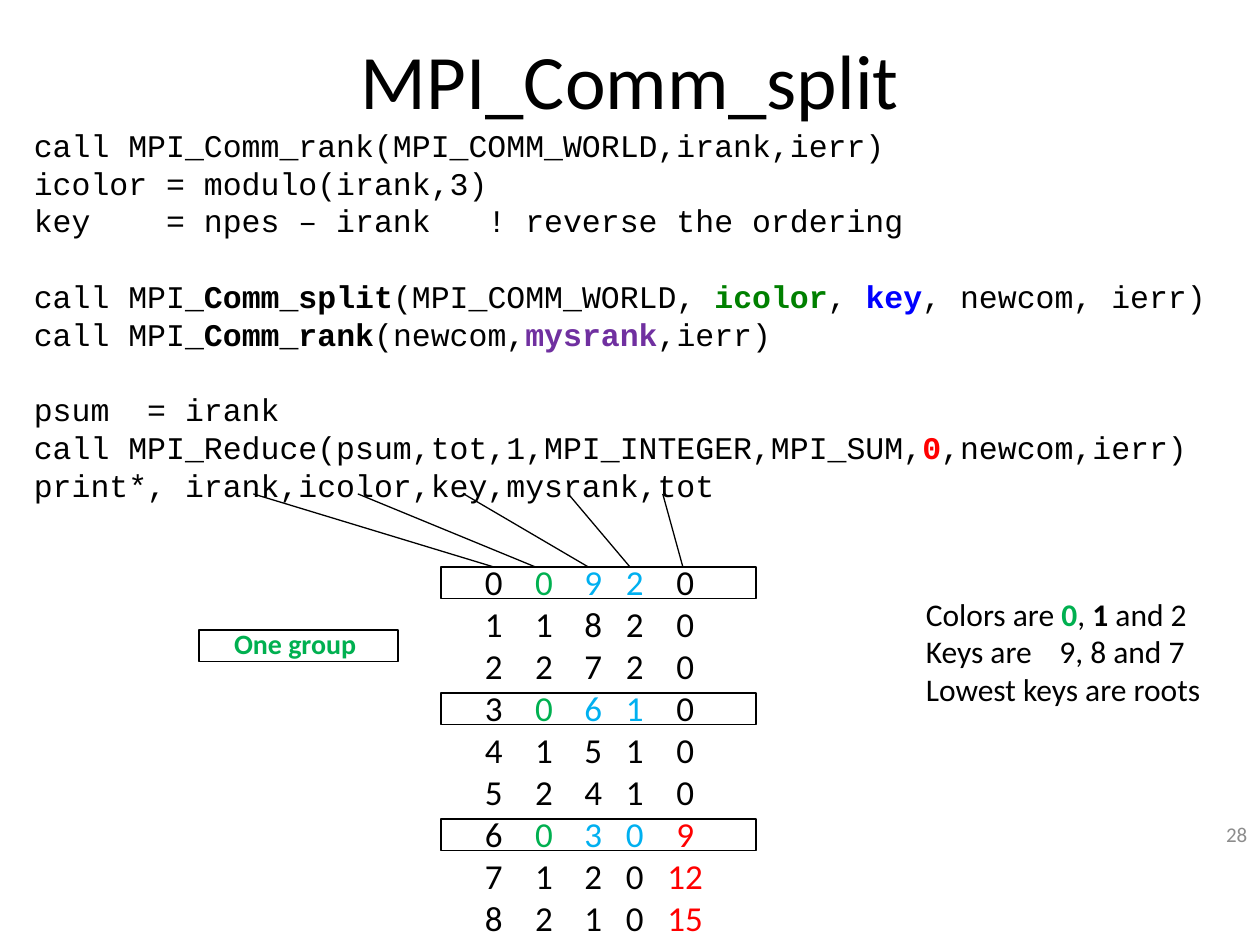
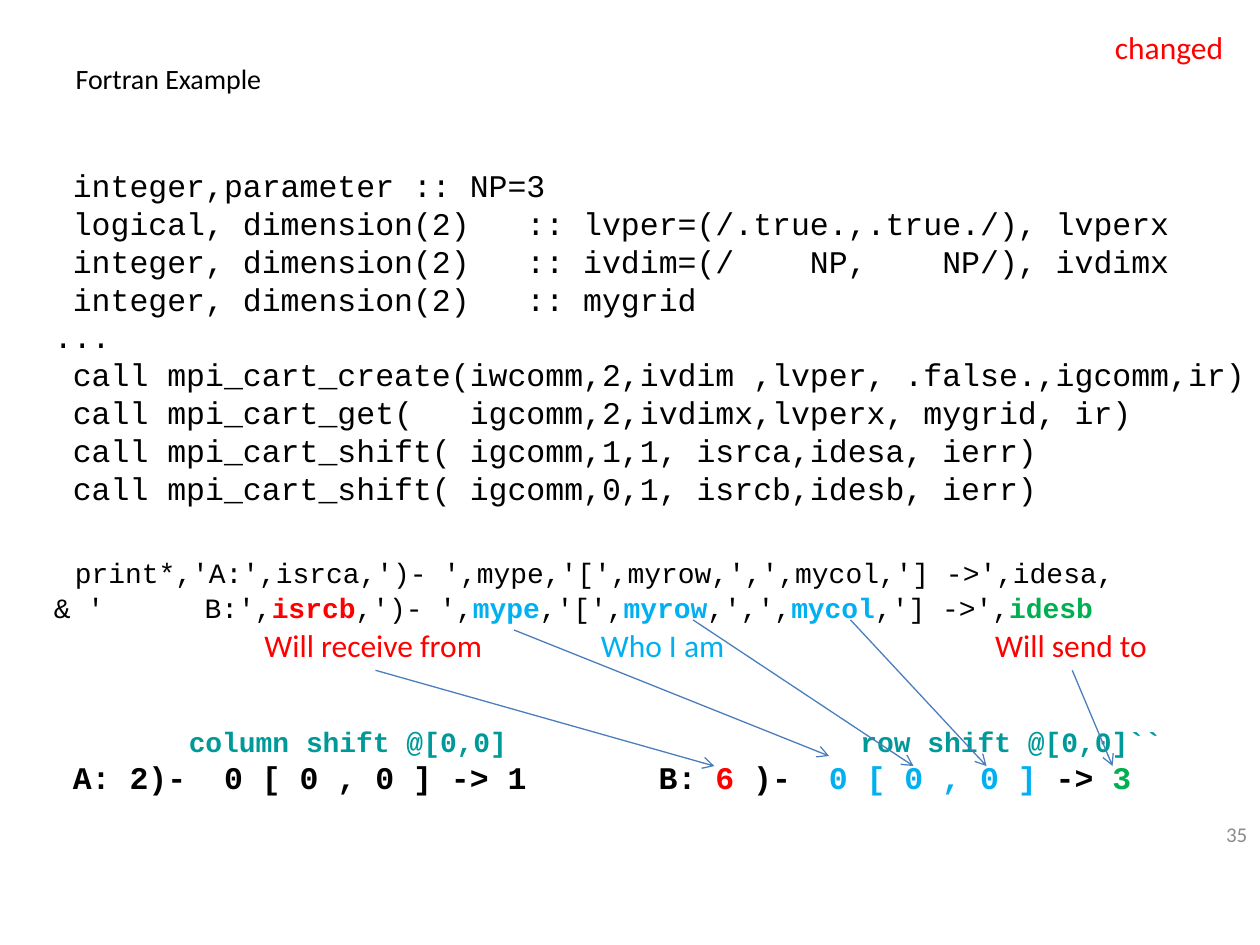
from dataclasses import dataclass
from typing import NamedTuple

from lxml import etree
from pptx import Presentation
from pptx.dml.color import RGBColor
from pptx.enum.shapes import MSO_CONNECTOR as Connector, MSO_SHAPE as Shape
from pptx.enum.text import MSO_ANCHOR as Anchor, PP_ALIGN as Align
from pptx.oxml.ns import qn
from pptx.util import Inches, Pt

# Shared look
SANS, MONO = "Calibri", "Courier New"
BLACK, GREY, RED = "000000", "8C8C8C", "FF0000"
GREEN, SKY, PURPLE = "00B050", "00B0F0", "7030A0"
DARK_GREEN, BLUE, TEAL, ARROW_BLUE = "008000", "0000FF", "009999", "4B7EBC"
LEADING = 1.2


class Span(NamedTuple):
    text: str
    color: str = ""
    bold: bool | None = None
    size: float | None = None


class Tab(NamedTuple):
    offset: float
    align: str = "l"


class Box(NamedTuple):
    left: float
    top: float
    width: float
    height: float


class Line(NamedTuple):
    start: tuple[float, float]
    end: tuple[float, float]


@dataclass
class Para:
    spans: list[Span]
    size: float = 18
    font: str = SANS
    color: str = BLACK
    bold: bool = False
    align: Align = Align.LEFT
    before: float = 0
    tabs: tuple[Tab, ...] = ()


def rgb(color: str) -> RGBColor:
    return RGBColor.from_string(color)


def code(*spans: Span | str, **style) -> Para:
    parts = [Span(part) if isinstance(part, str) else part for part in spans]
    return Para(parts, font=MONO, **style)


def label(text: str, color: str = BLACK, **style) -> Para:
    return Para([Span(text)], color=color, **style)


def write_para(para, content: Para) -> None:
    para.alignment = content.align
    para.line_spacing = Pt(content.size * LEADING)
    para.space_before = Pt(content.before)
    font = para.font
    font.name, font.size, font.bold = content.font, Pt(content.size), content.bold
    font.color.rgb = rgb(content.color)
    if content.tabs:
        tab_list = etree.Element(qn("a:tabLst"))
        for tab in content.tabs:
            etree.SubElement(tab_list, qn("a:tab"), pos=str(Inches(tab.offset)), algn=tab.align)
        para._p.pPr.find(qn("a:defRPr")).addprevious(tab_list)
    for span in content.spans:
        run = para.add_run()
        run.text = span.text
        if span.color:
            run.font.color.rgb = rgb(span.color)
        if span.bold is not None:
            run.font.bold = span.bold
        if span.size:
            run.font.size = Pt(span.size)


def add_text(page, box: Box, paras: list[Para], anchor: Anchor = Anchor.TOP) -> None:
    frame = page.shapes.add_textbox(*map(Inches, box)).text_frame
    frame.word_wrap = True
    frame.margin_right = 0
    frame.vertical_anchor = anchor
    for index, content in enumerate(paras):
        write_para(frame.add_paragraph() if index else frame.paragraphs[0], content)


def add_line(page, line: Line, color: str = BLACK, arrow: bool = False) -> None:
    connector = page.shapes.add_connector(
        Connector.STRAIGHT, *map(Inches, line.start + line.end))
    connector.line.color.rgb = rgb(color)
    connector.line.width = Pt(0.75)
    if arrow:
        etree.SubElement(connector.line._get_or_add_ln(), qn("a:tailEnd"), type="arrow")
    etree.SubElement(connector._element.spPr, qn("a:effectLst"))


def add_frame(page, box: Box) -> None:
    frame = page.shapes.add_shape(Shape.RECTANGLE, *map(Inches, box))
    frame.shadow.inherit = False
    frame.fill.background()
    frame.line.color.rgb = rgb(BLACK)
    frame.line.width = Pt(0.75)


def add_page(deck, title: str, box: Box, size: float, align: Align, number: int):
    page = deck.slides.add_slide(deck.slide_layouts[5])
    heading = page.shapes.title
    heading.left, heading.top, heading.width, heading.height = map(Inches, box)
    heading.text_frame.vertical_anchor = Anchor.MIDDLE
    write_para(heading.text_frame.paragraphs[0], label(title, size=size, align=align))
    add_text(page, Box(7.67, 6.42, 2.23, 0.4),
             [label(str(number), GREY, size=12, align=Align.RIGHT)], Anchor.MIDDLE)
    return page


def rank_row(rank: int, ranks: int = 9, groups: int = 3) -> Para:
    group = rank % groups
    subrank = (ranks - 1 - rank) // groups
    total = 0 if subrank else sum(range(group, ranks, groups))
    group_color, key_color = (BLACK, BLACK) if group else (GREEN, SKY)
    cells = [(rank, BLACK), (group, group_color), (ranks - rank, key_color),
             (subrank, key_color), (total, RED if total else BLACK)]
    tabs = tuple(Tab(offset, "ctr") for offset in (0.31, 0.71, 1.1, 1.43, 1.83))
    return Para([Span(f"\t{value}", color) for value, color in cells], size=20, tabs=tabs)


def build_split_page(deck) -> None:
    page = add_page(deck, "MPI_Comm_split", Box(0.5, 0, 9, 1.25), 44, Align.CENTER, 28)

    # Program
    blank_line = 18 * LEADING
    add_text(page, Box(0.17, 0.95, 9.75, 3.13), [
        code("call MPI_Comm_rank(MPI_COMM_WORLD,irank,ierr)"),
        code("icolor = modulo(irank,3)"),
        code("key    = npes – irank   ! reverse the ordering"),
        code("call MPI_", Span("Comm_split", bold=True), "(MPI_COMM_WORLD, ",
             Span("icolor", DARK_GREEN, True), ", ", Span("key", BLUE, True),
             ", newcom, ierr)", before=blank_line),
        code("call MPI_", Span("Comm_rank", bold=True), "(newcom,",
             Span("mysrank", PURPLE, True), ",ierr)"),
        code("psum  = irank", before=blank_line),
        code("call MPI_Reduce(psum,tot,1,MPI_INTEGER,MPI_SUM,",
             Span("0", RED, True), ",newcom,ierr)"),
        code("print*, irank,icolor,key,mysrank,tot"),
    ])

    # Printed values, joined to their variables
    add_text(page, Box(3.51, 4.4, 2.19, 3.1), [rank_row(rank) for rank in range(9)])
    for variable, column in [(2.01, 3.92), (2.84, 4.25), (3.68, 4.67), (4.51, 5), (5.26, 5.42)]:
        add_line(page, Line((variable, 3.92), (column, 4.5)))

    # Frames around one group, and their key
    for top in (4.5, 5.5, 6.5):
        add_frame(page, Box(3.5, top, 2.5, 0.25))
    add_frame(page, Box(1.58, 5, 1.58, 0.25))
    add_text(page, Box(1.76, 4.92, 1.3, 0.37), [label("One group", GREEN, size=16, bold=True)])

    # Remarks
    add_text(page, Box(7.25, 4.67, 2.5, 1.01), [
        Para([Span("Colors are "), Span("0", GREEN, True), Span(", "),
              Span("1", bold=True), Span(" and 2")]),
        Para([Span("Keys are\t9, 8 and 7")], tabs=(Tab(1.06),)),
        label("Lowest keys are roots"),
    ])


def build_fortran_page(deck) -> None:
    page = add_page(deck, "Fortran Example", Box(0.5, 0.33, 9.08, 0.58), 16, Align.LEFT, 35)

    # Program and its output
    declarations = [
        " integer,parameter :: NP=3",
        " logical, dimension(2)   :: lvper=(/.true.,.true./), lvperx",
        " integer, dimension(2)   :: ivdim=(/    NP,    NP/), ivdimx",
        " integer, dimension(2)   :: mygrid",
        "...",
        " call mpi_cart_create(iwcomm,2,ivdim ,lvper, .false.,igcomm,ir)",
        " call mpi_cart_get(   igcomm,2,ivdimx,lvperx, mygrid, ir)",
        " call mpi_cart_shift( igcomm,1,1, isrca,idesa, ierr)",
        " call mpi_cart_shift( igcomm,0,1, isrcb,idesb, ierr)",
    ]
    add_text(page, Box(0.33, 1.27, 9.67, 5.15), [
        *map(code, declarations),
        code(" ", Span("print*,'A:',isrca,')- ',mype,'[',myrow,',',mycol,'] ->',idesa,", size=16),
             size=20, before=20 * LEADING),
        code("& '      B:',", Span("isrcb", RED, True), ",')- ',", Span("mype", SKY, True),
             ",'[',", Span("myrow", SKY, True), ",',',", Span("mycol", SKY, True),
             ",'] ->',", Span("idesb", GREEN, True), size=16),
        code("\tcolumn shift @[0,0]\trow shift @[0,0]``", size=16, color=TEAL, bold=True,
             before=3 * 16 * LEADING, tabs=(Tab(1.07), Tab(6.4))),
        code(" A: 2)-  0 [ 0 , 0 ] -> 1\tB: ", Span("6", RED), " )-  ",
             Span("0 [ 0 , 0 ]", SKY), " -> ", Span("3", GREEN), bold=True, tabs=(Tab(4.8),)),
    ])

    # Labels
    for text, color, left, top, width in [
        ("changed", RED, 8.75, 0.17, 1.2),
        ("Who I am", SKY, 4.67, 4.92, 1.3),
        ("Will receive from", RED, 2, 4.92, 2),
        ("Will send to", RED, 7.8, 4.92, 1.5),
    ]:
        add_text(page, Box(left, top, width, 0.4), [label(text, color)])

    # Arrows from variables and labels to the output
    for arrow in [
        Line((4.08, 5), (6.58, 6)),
        Line((5.5, 4.92), (7.25, 6.08)),
        Line((6.75, 4.92), (7.83, 6.08)),
        Line((2.98, 5.32), (5.67, 6.08)),
        Line((8.51, 5.32), (8.83, 6.08)),
    ]:
        add_line(page, arrow, ARROW_BLUE, arrow=True)


def main() -> None:
    deck = Presentation()
    deck.slide_width, deck.slide_height = Inches(10), Inches(7.5)
    build_split_page(deck)
    build_fortran_page(deck)
    deck.save("out.pptx")


if __name__ == "__main__":
    main()
